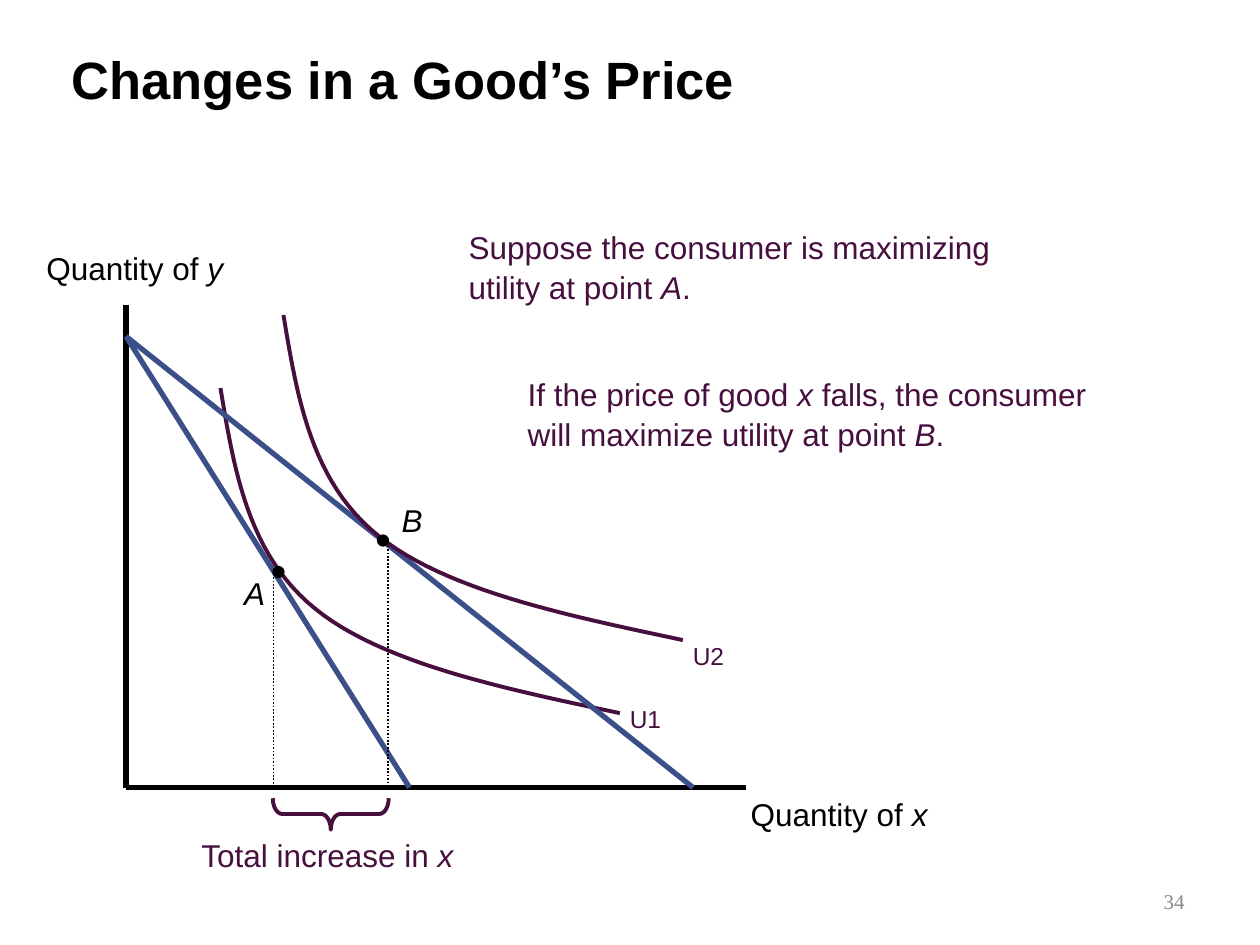
from dataclasses import dataclass

from lxml import etree
from pptx import Presentation
from pptx.dml.color import RGBColor
from pptx.enum.dml import MSO_LINE
from pptx.enum.shapes import MSO_CONNECTOR, MSO_SHAPE
from pptx.enum.text import MSO_ANCHOR, MSO_AUTO_SIZE, PP_ALIGN
from pptx.oxml.ns import qn
from pptx.util import Inches, Pt

STRAIGHT = MSO_CONNECTOR.STRAIGHT
DOTTED = MSO_LINE.ROUND_DOT
OVAL, BRACE = MSO_SHAPE.OVAL, MSO_SHAPE.LEFT_BRACE
MIDDLE = MSO_ANCHOR.MIDDLE
FIT, FIXED = MSO_AUTO_SIZE.SHAPE_TO_FIT_TEXT, MSO_AUTO_SIZE.NONE
LEFT, RIGHT = PP_ALIGN.LEFT, PP_ALIGN.RIGHT


@dataclass(frozen=True)
class Theme:
    black: RGBColor = RGBColor.from_string("000000")
    purple: RGBColor = RGBColor.from_string("470F3E")
    blue: RGBColor = RGBColor.from_string("3B4F89")
    gray: RGBColor = RGBColor.from_string("898989")
    font: str = "Arial"
    number_font: str = "Times New Roman"
    title: Pt = Pt(30)
    body: Pt = Pt(18)
    curve: Pt = Pt(14)
    number: Pt = Pt(12)


theme = Theme()
prs = Presentation()
prs.slide_width, prs.slide_height = Inches(10), Inches(7.5)
slide = prs.slides.add_slide(prs.slide_layouts[5])
shapes = slide.shapes


def add_text(x, y, w, h, lines, color, size=theme.body):
    s = shapes.add_textbox(Inches(x), Inches(y), Inches(w), Inches(h))
    tf = s.text_frame
    tf.word_wrap = False
    tf.auto_size = FIT
    tf.vertical_anchor = MIDDLE
    for i, line in enumerate(lines):
        p = tf.paragraphs[0] if i == 0 else tf.add_paragraph()
        p.line_spacing = 1.05
        p.font.name, p.font.size = theme.font, size
        p.font.color.rgb = color
        for j, part in enumerate(line.split("*")):
            if part:
                r = p.add_run()
                r.text = part
                r.font.italic = j % 2 == 1
    return tf


def add_line(x1, y1, x2, y2, color, width, dash=None):
    s = shapes.add_connector(STRAIGHT, Inches(x1), Inches(y1), Inches(x2), Inches(y2))
    s.line.color.rgb = color
    s.line.width = Pt(width)
    if dash:
        s.line.dash_style = dash
    etree.SubElement(s.element.spPr, qn("a:effectLst"))


title = shapes.title
title.left, title.top = Inches(0.47), Inches(0.39)
title.width, title.height = Inches(8.5), Inches(0.47)
tf = title.text_frame
tf.text = "Changes in a Good’s Price"
tf.auto_size = FIXED
tf.vertical_anchor = MIDDLE
p = tf.paragraphs[0]
p.alignment = LEFT
p.font.name, p.font.size, p.font.bold = theme.font, theme.title, True
p.font.color.rgb = theme.black

tf = add_text(7.17, 6.95, 2.33, 0.4, ["34"], theme.gray, theme.number)
tf.word_wrap = True
tf.auto_size = FIXED
p = tf.paragraphs[0]
p.alignment = RIGHT
p.font.name = theme.number_font

origin_x, origin_y, budget_y = 1, 6.25, 2.67
add_line(origin_x, 2.42, origin_x, origin_y, theme.black, 3)
add_line(origin_x, origin_y, 5.92, origin_y, theme.black, 3)
add_text(5.86, 6.25, 1.6, 0.4, ["Quantity of *x*"], theme.black)
add_text(0.27, 1.92, 1.6, 0.4, ["Quantity of *y*"], theme.black)

curve_beziers = [
    [(0, 0), (0.11, 0.66), (0.22, 1.32), (0.75, 1.75)],
    [(0.75, 1.75), (1.28, 2.18), (2.22, 2.38), (3.17, 2.58)],
]
steps = 24
curve_points = [(0, 0)]
for bezier in curve_beziers:
    for k in range(1, steps + 1):
        t = k / steps
        weights = ((1 - t) ** 3, 3 * t * (1 - t) ** 2, 3 * t**2 * (1 - t), t**3)
        curve_points.append(
            tuple(sum(w * pt[axis] for w, pt in zip(weights, bezier)) for axis in (0, 1))
        )

cases = [
    (3.25, 1.75, 3.08, "U1", (4.9, 5.53), "*A*", (1.84, 4.5), (2.17, 4.5)),
    (5.5, 2.25, 2.5, "U2", (5.4, 5.03), "*B*", (3.09, 3.92), (3, 4.25)),
]
for budget_x, cx, cy, curve, curve_at, point, point_at, dot_at in cases:
    add_line(origin_x, budget_y, budget_x, origin_y, theme.blue, 3)
    points = [(Inches(cx + x), Inches(cy + y)) for x, y in curve_points]
    builder = shapes.build_freeform(*points[0])
    builder.add_line_segments(points[1:], close=False)
    s = builder.convert_to_shape()
    s.shadow.inherit = False
    s.fill.background()
    s.line.color.rgb = theme.purple
    s.line.width = Pt(2.25)
    add_text(*curve_at, 0.45, 0.34, [curve], theme.purple, theme.curve)
    add_text(*point_at, 0.36, 0.4, [point], theme.black)
    s = shapes.add_shape(OVAL, Inches(dot_at[0]), Inches(dot_at[1]), Inches(0.08), Inches(0.08))
    s.shadow.inherit = False
    s.fill.solid()
    s.fill.fore_color.rgb = theme.black
    s.line.color.rgb = theme.black
    s.line.width = Pt(1.25)

add_text(3.62, 1.76, 4.41, 0.7,
         ["Suppose the consumer is maximizing", "utility at point *A*."], theme.purple)
add_text(4.09, 2.93, 4.7, 0.7,
         ["If the price of good *x* falls, the consumer",
          "will maximize utility at point *B*."], theme.purple)

for x, y in [(2.17, 4.58), (3.08, 4.33)]:
    add_line(x, y, x, origin_y, theme.black, 1, DOTTED)

s = shapes.add_shape(BRACE, Inches(2.5), Inches(6), Inches(0.25), Inches(0.92))
s.rotation = 270
s.adjustments[0] = 0.3
s.shadow.inherit = False
s.fill.background()
s.line.color.rgb = theme.purple
s.line.width = Pt(2.25)
add_text(1.5, 6.58, 2.23, 0.4, ["Total increase in *x*"], theme.purple)

prs.save("out.pptx")
